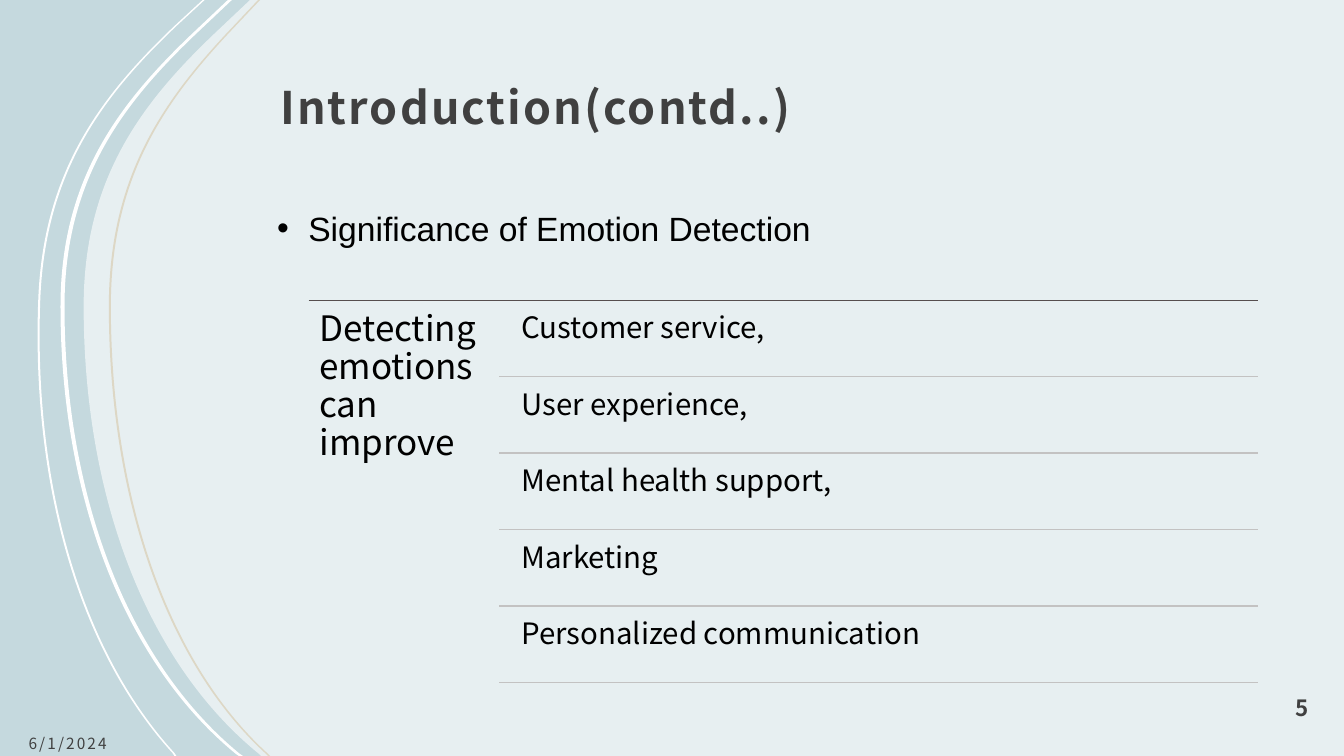
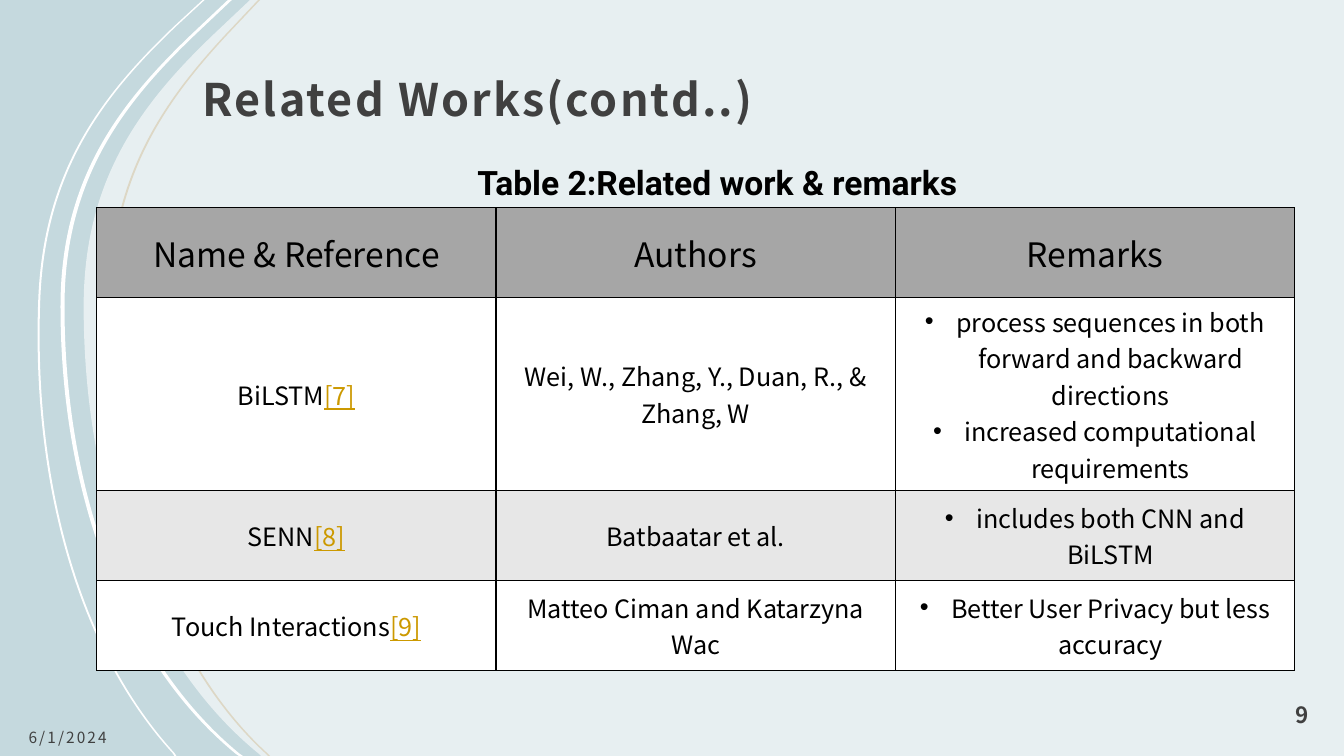
from dataclasses import dataclass

from lxml import etree
from pptx import Presentation
from pptx.dml.color import RGBColor
from pptx.enum import shapes, text
from pptx.oxml.ns import qn
from pptx.util import Inches, Pt


@dataclass(frozen=True)
class Theme:
    font: str = "Noto Sans CJK JP"
    bullet_font: str = "Arial"
    caption_font: str = "Roboto"
    backdrop: str = "C5D9DE"
    white: str = "FFFFFF"
    sand: str = "DDD7C5"
    heading: str = "404040"
    ink: str = "000000"
    citation: str = "CC9900"
    strong_rule: str = "564E4E"
    soft_rule: str = "C3C2C2"
    header_fill: str = "A6A6A6"
    band_fill: str = "E7E7E7"
    title_size: int = 32
    lead_size: int = 25
    subtitle_size: int = 24
    item_size: int = 21
    cell_size: int = 18
    number_size: int = 16
    date_size: int = 11
    tracking: float = 1.5


THEME = Theme()
WIDTH, HEIGHT = 13.33, 7.5
DATE = "6/1/2024"
INSETS = (0.12, 0.12, 0.12, 0.1)
NARROW = (0.1, 0.05, 0.1, 0.05)
LEFT, CENTER, RIGHT = text.PP_ALIGN.LEFT, text.PP_ALIGN.CENTER, text.PP_ALIGN.RIGHT
TOP, MIDDLE, BOTTOM = text.MSO_ANCHOR.TOP, text.MSO_ANCHOR.MIDDLE, text.MSO_ANCHOR.BOTTOM

# Each edge: top point, seven points of two joined cubic curves, bottom point.
PANEL_EDGE = [(2.48, 0), (2.11, 0.35), (1.39, 1.04), (0.83, 1.79), (0.83, 3.04),
              (0.83, 4.92), (1.45, 6.57), (2.57, 7.48), (2.59, 7.5)]
RIBBONS = [
    (THEME.white, 0.02, [(2.01, 0), (1.75, 0.24), (1.02, 0.93), (0.43, 1.68), (0.38, 2.97),
                         (0.31, 4.8), (0.78, 6.45), (1.71, 7.47), (1.73, 7.5)]),
    (THEME.white, 0.04, [(2.26, 0), (1.89, 0.35), (1.17, 1.04), (0.6, 1.79), (0.6, 3.04),
                         (0.6, 4.92), (1.23, 6.57), (2.34, 7.48), (2.37, 7.5)]),
    (THEME.sand, 0.02, [(2.56, 0), (2.23, 0.35), (1.59, 1.04), (1.08, 1.79), (1.08, 3.04),
                        (1.08, 4.92), (1.64, 6.57), (2.64, 7.48), (2.66, 7.5)]),
]
# Positions in an outline where three points make one cubic curve.
DOWN_CURVES, UP_CURVES = (2, 5), (11, 14)

INTRODUCTION = {
    "title": "Introduction(contd..)", "title_at": (2.66, 0.48), "number": "5",
    "date_top": 7.25, "number_bottom": 7.25,
    "subtitle": "Significance of Emotion Detection",
    "lead": "Detecting emotions can improve",
    "items": ["Customer service,", "User experience,", "Mental health support,",
              "Marketing", "Personalized communication"],
}
RELATED_WORKS = {
    "title": "Related Works(contd..)", "title_at": (1.89, 0.41), "number": "9",
    "date_top": 7.2, "number_bottom": 7.32,
    "caption": "Table 2:Related work & remarks",
    "header": ["Name & Reference", "Authors", "Remarks"],
    "works": [
        ("BiLSTM", "[7]", "Wei, W., Zhang, Y., Duan, R., & Zhang, W",
         ["process sequences in both forward and backward directions",
          "increased computational requirements"]),
        ("SENN", "[8]", "Batbaatar et al.", ["includes both CNN and BiLSTM"]),
        ("Touch Interactions", "[9]", "Matteo Ciman and Katarzyna Wac",
         ["Better User Privacy but less accuracy"]),
    ],
    "row_heights": [0.89, 1.92, 0.89, 0.89],
}


def rgb(color):
    return RGBColor.from_string(color)


def style_span(span, size, color=THEME.ink, font=THEME.font, bold=False, tracking=0):
    span.font.size, span.font.name, span.font.bold = Pt(size), font, bold
    span.font.color.rgb = rgb(color)
    if tracking:
        span.font._element.set("spc", str(round(tracking * 100)))


def add_bullet(para, indent=0.31):
    props = para._p.get_or_add_pPr()
    props.set("marL", str(Inches(indent)))
    props.set("indent", str(-Inches(indent)))
    etree.SubElement(props, qn("a:buFont")).set("typeface", THEME.bullet_font)
    etree.SubElement(props, qn("a:buChar")).set("char", "•")


def set_margins(target, insets):
    """Set the left, top, right and bottom margins of a text frame or cell."""
    (target.margin_left, target.margin_top,
     target.margin_right, target.margin_bottom) = map(Inches, insets)


def add_text(page, content, at, size, insets=NARROW, align=LEFT, anchor=TOP,
             spacing=None, **style):
    box = page.shapes.add_textbox(*map(Inches, at))
    frame = box.text_frame
    frame.word_wrap = True
    frame.vertical_anchor = anchor
    set_margins(frame, insets)
    frame.text = content
    para = frame.paragraphs[0]
    para.alignment = align
    if spacing:
        para.line_spacing = spacing
    style_span(para.runs[0], size, **style)
    return para


def add_rule(page, left, right, y, color):
    rule = page.shapes.add_connector(shapes.MSO_CONNECTOR.STRAIGHT,
                                     Inches(left), Inches(y), Inches(right), Inches(y))
    rule.line.color.rgb = rgb(color)
    rule.line.width = Pt(1)
    etree.SubElement(rule._element.spPr, qn("a:effectLst"))


def bend_lines(outline, curve_starts):
    """Turn each run of three straight segments into one cubic curve."""
    track = outline._element.spPr.find(".//" + qn("a:path"))
    segments = list(track)
    for start in curve_starts:
        curve = etree.Element(qn("a:cubicBezTo"))
        segments[start].addprevious(curve)
        for segment in segments[start:start + 3]:
            curve.append(segment[0])
            track.remove(segment)


def add_outline(page, points, color, curve_starts, opacity=None):
    corners = [(Inches(x), Inches(y)) for x, y in points]
    builder = page.shapes.build_freeform(*corners[0])
    builder.add_line_segments(corners[1:], close=True)
    outline = builder.convert_to_shape()
    bend_lines(outline, curve_starts)
    outline.shadow.inherit = False
    outline.line.fill.background()
    outline.fill.solid()
    outline.fill.fore_color.rgb = rgb(color)
    if opacity:
        swatch = outline._element.spPr.find(".//" + qn("a:srgbClr"))
        etree.SubElement(swatch, qn("a:alpha")).set("val", str(opacity * 1000))


def add_page(deck, content):
    """Add a slide with the curved backdrop, title, date and number."""
    page = deck.slides.add_slide(deck.slide_layouts[6])
    page.background.fill.solid()
    page.background.fill.fore_color.rgb = rgb(THEME.backdrop)
    add_outline(page, PANEL_EDGE + [(WIDTH, HEIGHT), (WIDTH, 0)],
                THEME.white, DOWN_CURVES, opacity=60)
    for color, thickness, edge in RIBBONS:
        far_edge = [(x + thickness, y) for x, y in reversed(edge)]
        add_outline(page, edge + far_edge, color, DOWN_CURVES + UP_CURVES)
    add_text(page, content["title"], (*content["title_at"], 9.05, 0.94), THEME.title_size,
             INSETS, anchor=BOTTOM, spacing=1.3, color=THEME.heading, bold=True,
             tracking=THEME.tracking)
    add_text(page, DATE, (0, content["date_top"], 1.18, 0.24), THEME.date_size,
             (0.12, 0, 0.12, 0), RIGHT, MIDDLE, color=THEME.heading,
             tracking=THEME.tracking)
    number_height = 0.5
    add_text(page, content["number"],
             (12.73, content["number_bottom"] - number_height, 0.44, number_height),
             THEME.number_size, INSETS, anchor=BOTTOM, color=THEME.heading, bold=True)
    return page


def add_introduction(deck, content):
    page = add_page(deck, content)
    subtitle = add_text(page, content["subtitle"], (2.65, 2.01, 5.9, 0.5),
                        THEME.subtitle_size, font=THEME.bullet_font)
    add_bullet(subtitle)

    left, right, top, bottom = 3.06, 12.48, 2.98, 6.77
    pitch = (bottom - top) / len(content["items"])
    add_rule(page, left, right, top, THEME.strong_rule)
    add_text(page, content["lead"], (left + 0.01, top + 0.01, 1.88, 3.82), THEME.lead_size,
             (0.1,) * 4, spacing=0.9)
    for index, item in enumerate(content["items"]):
        row_top = top + index * pitch
        add_text(page, item, (5.08, row_top + 0.04, 7.4, 0.72), THEME.item_size,
                 (0.09,) * 4, spacing=0.9)
        add_rule(page, 4.95, right, row_top + pitch, THEME.soft_rule)


def fill_cell(cell, paragraphs, size, fill, insets=NARROW, bulleted=False):
    """Write paragraphs, each a list of (words, is_citation), in a bordered cell."""
    cell.vertical_anchor = MIDDLE
    set_margins(cell, insets)
    props = cell._tc.get_or_add_tcPr()
    for side in ("lnL", "lnR", "lnT", "lnB"):
        border = etree.SubElement(props, qn("a:" + side), w=str(Pt(1)))
        paint = etree.SubElement(border, qn("a:solidFill"))
        etree.SubElement(paint, qn("a:srgbClr"), val=THEME.ink)
    cell.fill.solid()
    cell.fill.fore_color.rgb = rgb(fill)
    frame = cell.text_frame
    for index, spans in enumerate(paragraphs):
        para = frame.add_paragraph() if index else frame.paragraphs[0]
        para.alignment = CENTER
        if bulleted:
            add_bullet(para)
        for words, is_citation in spans:
            span = para.add_run()
            span.text = words
            style_span(span, size, THEME.citation if is_citation else THEME.ink)
            span.font.underline = is_citation


def add_related_works(deck, content):
    page = add_page(deck, content)
    header, works, heights = content["header"], content["works"], content["row_heights"]
    table = page.shapes.add_table(len(heights), len(header), Inches(0.96), Inches(2.06),
                                  Inches(11.88), Inches(sum(heights))).table
    table.first_row = table.horz_banding = False
    for column in table.columns:
        column.width = Inches(3.96)
    for row, height in zip(table.rows, heights):
        row.height = Inches(height)

    for column, label in enumerate(header):
        fill_cell(table.cell(0, column), [[(label, False)]], THEME.subtitle_size,
                  THEME.header_fill, (0.15,) * 4)
    for row, (name, citation, authors, remarks) in enumerate(works, 1):
        cells = [[[(name, False), (citation, True)]],
                 [[(authors, False)]],
                 [[(remark, False)] for remark in remarks]]
        fill = THEME.white if row % 2 else THEME.band_fill
        for column, paragraphs in enumerate(cells):
            fill_cell(table.cell(row, column), paragraphs, THEME.cell_size, fill,
                      bulleted=column == 2)
    add_text(page, content["caption"], (4.55, 1.56, 5.13, 0.5), THEME.subtitle_size,
             align=CENTER, font=THEME.caption_font, bold=True)


def main():
    deck = Presentation()
    deck.slide_width, deck.slide_height = Inches(WIDTH), Inches(HEIGHT)
    add_introduction(deck, INTRODUCTION)
    add_related_works(deck, RELATED_WORKS)
    deck.save("out.pptx")


if __name__ == "__main__":
    main()
